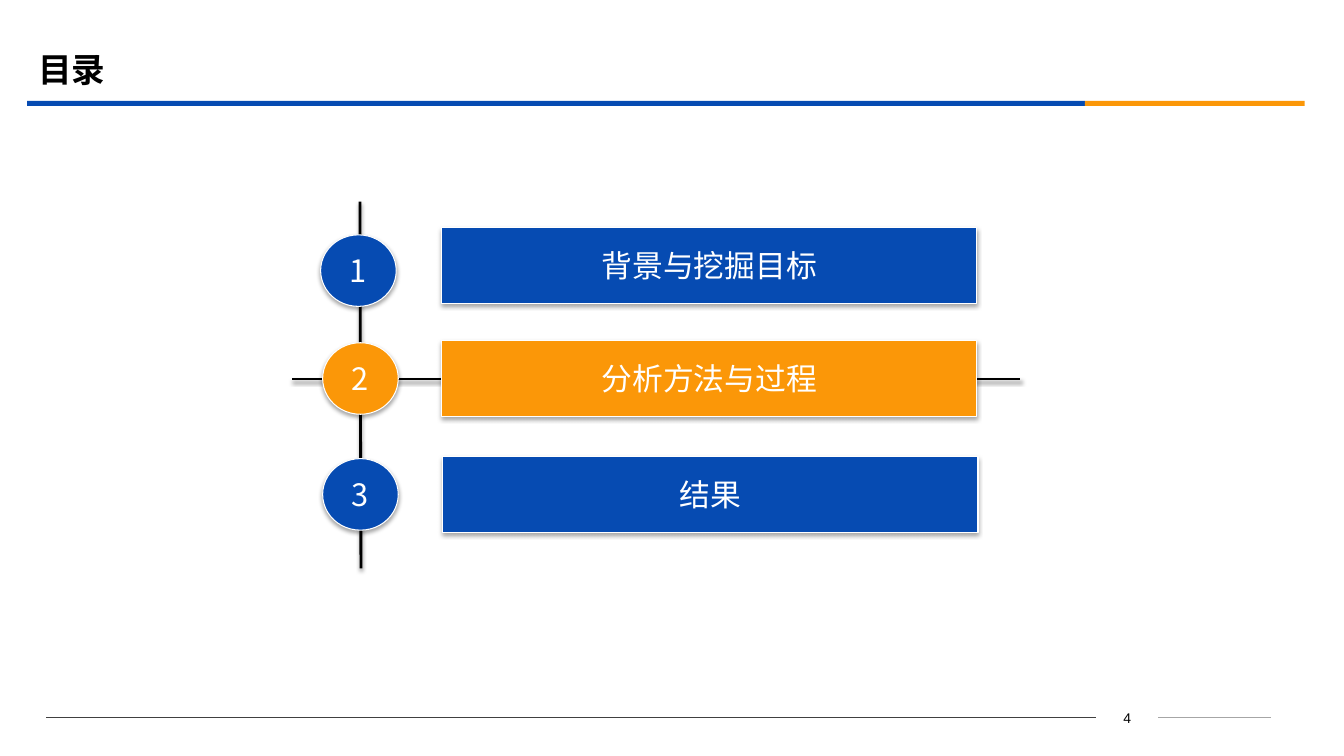
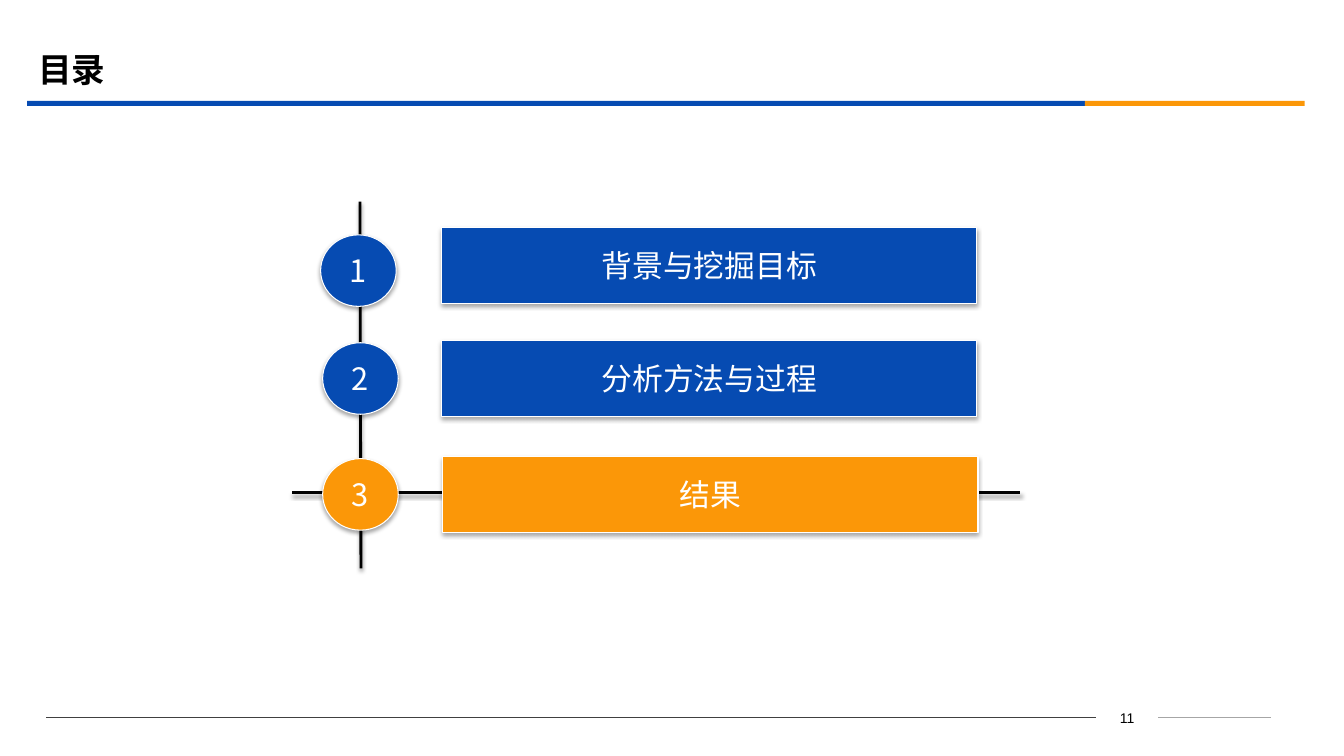
"""Builds two agenda slides, each with one section highlighted."""
from lxml import etree
from pptx import Presentation
from pptx.dml.color import RGBColor
from pptx.enum.shapes import MSO_CONNECTOR, MSO_SHAPE
from pptx.enum.text import MSO_ANCHOR, PP_ALIGN
from pptx.oxml.ns import qn
from pptx.util import Inches, Pt

RECT = MSO_SHAPE.RECTANGLE
OVAL = MSO_SHAPE.OVAL
BUTTON = MSO_SHAPE.ACTION_BUTTON_CUSTOM
STRAIGHT = MSO_CONNECTOR.STRAIGHT
LEFT, CENTER = PP_ALIGN.LEFT, PP_ALIGN.CENTER
MIDDLE, TOP = MSO_ANCHOR.MIDDLE, MSO_ANCHOR.TOP

COLORS = {
    "blue": "064BB2",
    "orange": "FB9708",
    "black": "000000",
    "white": "FFFFFF",
    "dark": "404040",
    "gray": "A6A6A6",
}
SANS, ARIAL = "Noto Sans CJK SC", "Arial"

# Label, circle left and top, button left and top
ITEMS = [
    ("背景与挖掘目标", (3.18, 2.33), (4.38, 2.26)),
    ("分析方法与过程", (3.2, 3.4), (4.38, 3.38)),
    ("结果", (3.2, 4.55), (4.39, 4.53)),
]
# Page number, highlighted item, height of its line
PAGES = [("4", 2, 3.76), ("11", 3, 4.89)]


def color(name):
    """Return a palette colour."""
    return RGBColor.from_string(COLORS[name])


def shade(item, alpha, dist):
    """Give a finished shape or line a soft shadow below it."""
    effects = etree.SubElement(item._element.spPr, qn("a:effectLst"))
    outer = etree.SubElement(
        effects, qn("a:outerShdw"), blurRad=str(Pt(3.1)),
        dist=str(Pt(dist)), dir="5400000", rotWithShape="0")
    tint = etree.SubElement(outer, qn("a:srgbClr"), val=COLORS["black"])
    etree.SubElement(tint, qn("a:alpha"), val=str(alpha * 1000))


def write(frame, text, size, name, font=SANS, align=CENTER, anchor=MIDDLE,
          bold=False, wrap=False):
    """Put one line of styled text into a frame."""
    frame.text = text
    frame.word_wrap = wrap
    frame.vertical_anchor = anchor
    para = frame.paragraphs[0]
    para.alignment = align
    run = para.runs[0]
    run.font.size = Pt(size)
    run.font.bold = bold
    run.font.color.rgb = color(name)
    run.font.name = font
    etree.SubElement(run._r.get_or_add_rPr(), qn("a:ea"), typeface=font)


def add_text(slide, box, *args, **style):
    """Add a text box."""
    label = slide.shapes.add_textbox(*map(Inches, box))
    write(label.text_frame, *args, wrap=True, **style)


def add_line(slide, start, end, name, width):
    """Add a straight line without a shadow and return it."""
    line = slide.shapes.add_connector(
        STRAIGHT, *map(Inches, (*start, *end)))
    line.line.color.rgb = color(name)
    line.line.width = Pt(width)
    return line


def add_axis(slide, start, end):
    """Add a thick black line with a shadow."""
    shade(add_line(slide, start, end, "black", 2), 38, 1.6)


def add_rule(slide, start, end, name):
    """Add a thin footer line."""
    line = add_line(slide, start, end, name, 0.75)
    etree.SubElement(line._element.spPr, qn("a:effectLst"))


def add_band(slide, left, width, name):
    """Add one part of the band under the title."""
    band = slide.shapes.add_shape(
        RECT, *map(Inches, (left, 1, width, 0.05)))
    band.shadow.inherit = False
    band.fill.solid()
    band.fill.fore_color.rgb = color(name)
    band.line.fill.background()


def add_badge(slide, kind, spot, size, text, name):
    """Add a filled shape with a white edge, a label and a shadow."""
    badge = slide.shapes.add_shape(kind, *map(Inches, (*spot, *size)))
    badge.fill.solid()
    badge.fill.fore_color.rgb = color(name)
    badge.line.color.rgb = color("white")
    badge.line.width = Pt(0.75)
    shade(badge, 35, 1.8)
    write(badge.text_frame, text, 22, "white")


def add_frame(slide, title, page):
    """Add the title, band and footer that all slides share."""
    add_text(slide, (10.87, 6.99, 0.62, 0.25), page, 10, "black",
             font=ARIAL, anchor=TOP)
    add_rule(slide, (11.49, 7.12), (12.61, 7.12), "gray")
    add_rule(slide, (0.46, 7.12), (10.87, 7.12), "dark")
    add_band(slide, 0.27, 10.49, "blue")
    add_band(slide, 10.76, 2.18, "orange")
    add_text(slide, (0.28, 0.39, 12, 0.58), title, 24, "black",
             align=LEFT, bold=True)


def add_agenda(slide, active, level):
    """Add the numbered sections, with the active one in orange."""
    add_axis(slide, (3.57, 2), (3.58, 5.64))
    add_axis(slide, (2.9, level), (10.12, level))
    for num, (text, dot, bar) in enumerate(ITEMS, 1):
        name = "orange" if num == active else "blue"
        add_badge(slide, OVAL, dot, (0.75, 0.71), str(num), name)
        add_badge(slide, BUTTON, bar, (5.31, 0.75), text, name)


def main():
    """Build and save the deck."""
    deck = Presentation()
    deck.slide_width, deck.slide_height = Inches(13.33), Inches(7.5)
    for page, active, level in PAGES:
        slide = deck.slides.add_slide(deck.slide_layouts[6])
        add_frame(slide, "目录", page)
        add_agenda(slide, active, level)
    deck.save("out.pptx")


if __name__ == "__main__":
    main()
